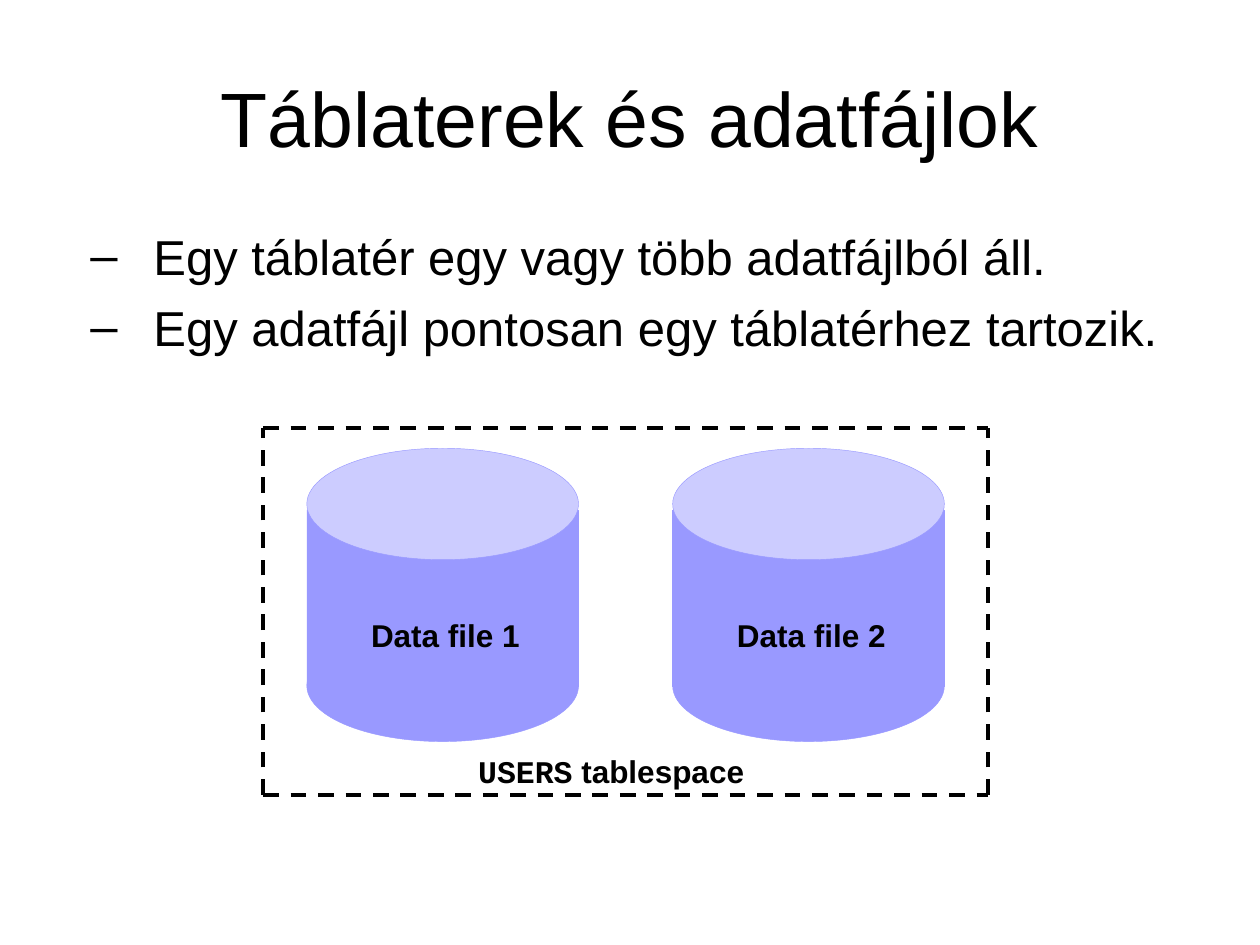
from dataclasses import dataclass

from lxml.etree import SubElement
from pptx import Presentation
from pptx.dml.color import RGBColor
from pptx.enum.dml import MSO_LINE
from pptx.enum.shapes import MSO_CONNECTOR, MSO_SHAPE
from pptx.enum.text import MSO_ANCHOR, PP_ALIGN
from pptx.oxml.ns import qn
from pptx.util import Inches, Pt


@dataclass(frozen=True)
class Theme:
    font: str = "Arial"
    code_font: str = "Courier New"
    ink: RGBColor = RGBColor(0, 0, 0)
    side: RGBColor = RGBColor(0x99, 0x99, 0xFF)
    lid: RGBColor = RGBColor(0xCC, 0xCC, 0xFF)
    title: Pt = Pt(44)
    body: Pt = Pt(28)
    label: Pt = Pt(18)


@dataclass(frozen=True)
class Box:
    left: int
    top: int
    width: int
    height: int

    def inner(self, x, y, width, height):
        """Return the inner box given as shares of this one."""
        return Box(int(self.left + x * self.width), int(self.top + y * self.height),
                   int(width * self.width), int(height * self.height))

    @property
    def bounds(self):
        return self.left, self.top, self.width, self.height


THEME = Theme()


def style(font, size, bold=False, name=THEME.font):
    font.name, font.size, font.bold = name, size, bold
    font.color.rgb = THEME.ink


def add_title(slide, box, wording):
    title = slide.shapes.title
    title.left, title.top, title.width, title.height = box.bounds
    title.text_frame.text = wording
    title.text_frame.vertical_anchor = MSO_ANCHOR.MIDDLE
    heading = title.text_frame.paragraphs[0]
    heading.alignment = PP_ALIGN.CENTER
    style(heading.font, THEME.title)


def add_statements(slide, box, statements):
    frame = slide.shapes.add_textbox(*box.bounds).text_frame
    frame.word_wrap = True
    frame.text = "\n".join(statements)
    for index, statement in enumerate(frame.paragraphs):
        if index:
            statement.space_before = Pt(7)
        properties = statement._p.get_or_add_pPr()
        properties.set("marL", str(Inches(0.62)))
        properties.set("indent", str(Inches(-0.5)))
        SubElement(properties, qn("a:buFont"), typeface=THEME.font)
        SubElement(properties, qn("a:buChar"), char="–")
        style(statement.font, THEME.body)


def add_label(slide, box, wording, code=""):
    """Add a bold centred label, led by an optional name in the code font."""
    frame = slide.shapes.add_textbox(*box.bounds).text_frame
    frame.word_wrap = True
    frame.margin_left = frame.margin_right = Inches(0.06)
    frame.margin_top = frame.margin_bottom = Inches(0.03)
    label = frame.paragraphs[0]
    label.alignment = PP_ALIGN.CENTER
    label.line_spacing = 0.85
    for text, font_name in ((code, THEME.code_font), (wording, THEME.font)):
        if text:
            run = label.add_run()
            run.text = text
            style(run.font, THEME.label, True, font_name)


def add_data_file(slide, box, name):
    """Draw a cylinder from its side, lid and base, with its name on it."""
    for preset, top, height, fill in (
        (MSO_SHAPE.RECTANGLE, 0.21, 0.6, THEME.side),
        (MSO_SHAPE.OVAL, 0, 0.38, THEME.lid),
        (MSO_SHAPE.OVAL, 0.62, 0.38, THEME.side),
    ):
        surface = slide.shapes.add_shape(preset, *box.inner(0, top, 1, height).bounds)
        surface.shadow.inherit = False
        surface.fill.solid()
        surface.fill.fore_color.rgb = fill
        surface.line.color.rgb = THEME.side
        surface.line.width = Pt(0.25)
    add_label(slide, box.inner(0.14, 0.58, 0.74, 0.14), name)


def add_dashed_frame(slide, box):
    right, bottom = box.left + box.width, box.top + box.height
    for ends in (
        (box.left, bottom, right, bottom),
        (box.left, box.top, right, box.top),
        (box.left, bottom, box.left, box.top),
        (right, bottom, right, box.top),
    ):
        edge = slide.shapes.add_connector(MSO_CONNECTOR.STRAIGHT, *ends)
        edge.line.color.rgb = THEME.ink
        edge.line.width = Pt(2.25)
        edge.line.dash_style = MSO_LINE.DASH
        SubElement(edge._element.spPr, qn("a:effectLst"))


def add_tablespace(slide, box, name, data_files):
    margin, file_width = 0.06, 0.375
    step = (1 - 2 * margin - file_width) / (len(data_files) - 1)
    for column, data_file in enumerate(data_files):
        place = box.inner(margin + column * step, 0.055, file_width, 0.8)
        add_data_file(slide, place, data_file)
    add_dashed_frame(slide, box)
    add_label(slide, box.inner(0.23, 0.89, 0.5, 0.11), " tablespace", code=name)


def main():
    presentation = Presentation()
    presentation.slide_width, presentation.slide_height = Inches(10), Inches(7.5)
    slide = presentation.slides.add_slide(presentation.slide_layouts[5])
    page = Box(0, 0, presentation.slide_width, presentation.slide_height)

    add_title(slide, page.inner(0.05, 0.04, 0.9, 0.167), "Táblaterek és adatfájlok")
    add_statements(slide, page.inner(0.05, 0.233, 0.9, 0.27), (
        "Egy táblatér egy vagy több adatfájlból áll.",
        "Egy adatfájl pontosan egy táblatérhez tartozik.",
    ))
    add_tablespace(slide, page.inner(0.209, 0.453, 0.575, 0.388), "USERS",
                   ("Data file 1", "Data file 2"))
    presentation.save("out.pptx")


if __name__ == "__main__":
    main()
